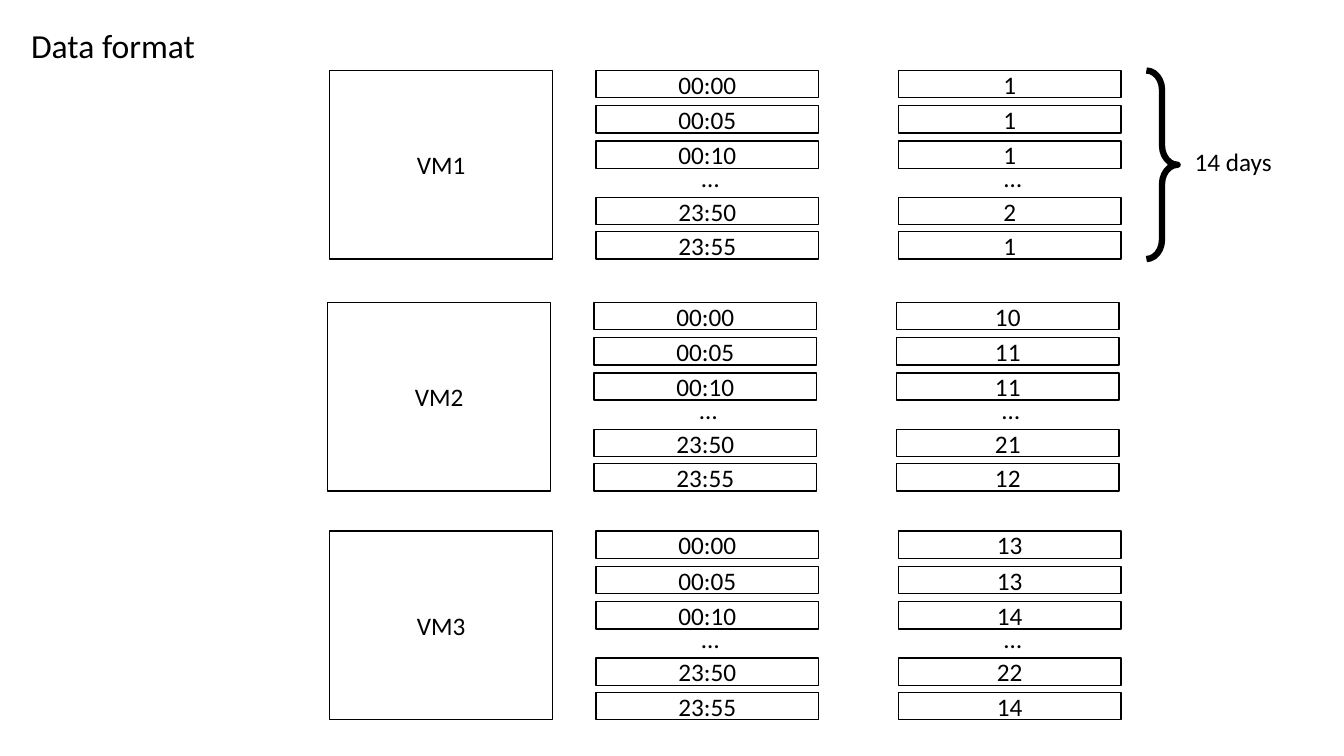
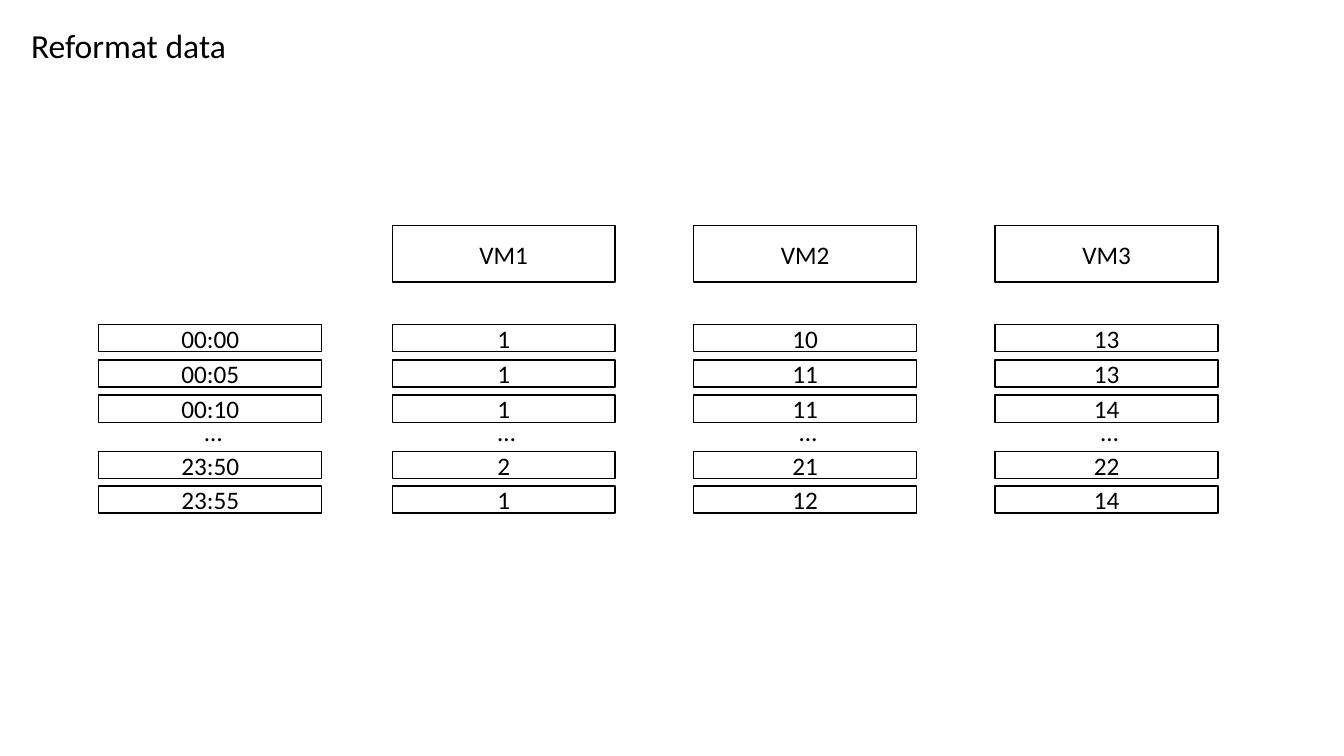
from dataclasses import dataclass
from typing import Any

from pptx import Presentation, util as u
from pptx.dml.color import RGBColor
from pptx.enum import shapes, text


@dataclass(frozen=True)
class Theme:
    ink: RGBColor = RGBColor(0, 0, 0)
    paper: RGBColor = RGBColor(255, 255, 255)
    font: str = "Calibri"
    title_pt: int = 24
    body_pt: int = 18
    line_pt: float = 1
    brace_pt: float = 4.5


@dataclass(frozen=True)
class Box:
    left: float
    top: float
    width: float
    height: float

    def emu(self) -> list[int]:
        return [u.Inches(v) for v in (self.left, self.top, self.width, self.height)]


@dataclass(frozen=True)
class Machine:
    name: str
    readings: tuple[str, ...]
    left: float
    top: float


THEME = Theme()
TIMES = ("00:00", "00:05", "00:10", "23:50", "23:55")
MACHINES = (
    Machine("VM1", ("1", "1", "1", "2", "1"), 3.27, 0.7),
    Machine("VM2", ("10", "11", "11", "21", "12"), 3.25, 3),
    Machine("VM3", ("13", "13", "14", "22", "14"), 3.27, 5.27),
)

CELL_W, CELL_H = 2.21, 0.27
ROW_OFFSETS = (0, 0.35, 0.7, 1.26, 1.6)
COLUMN_H = ROW_OFFSETS[-1] + CELL_H
DOTS_X, DOTS_Y = 0.95, 0.86
TIME_X, READING_X = 2.64, 5.64  # measured from the left of the machine box
TABLE_LEFT, TABLE_TOP = 3.89, 3.22
TABLE_PITCH = 2.99
HEADER_TOP, HEADER_H = 2.24, 0.56


def write(sp: Any, words: str, size: int, align: text.PP_ALIGN) -> None:
    p = sp.text_frame.paragraphs[0]
    p.alignment = align
    r = p.add_run()
    r.text = words
    for name, value in {"name": THEME.font, "size": u.Pt(size)}.items():
        setattr(r.font, name, value)
    r.font.color.rgb = THEME.ink


def add_label(parent: Any, words: str, box: Box, size: int = THEME.body_pt) -> None:
    sp = parent.shapes.add_textbox(*box.emu())
    settings = {"word_wrap": True, "auto_size": text.MSO_AUTO_SIZE.SHAPE_TO_FIT_TEXT}
    for name, value in settings.items():
        setattr(sp.text_frame, name, value)
    write(sp, words, size, text.PP_ALIGN.LEFT)


def add_cell(parent: Any, words: str, box: Box) -> None:
    sp = parent.shapes.add_shape(shapes.MSO_SHAPE.RECTANGLE, *box.emu())
    sp.shadow.inherit = False
    sp.fill.solid()
    sp.fill.fore_color.rgb = THEME.paper
    sp.line.color.rgb = THEME.ink
    sp.line.width = u.Pt(THEME.line_pt)
    sp.text_frame.vertical_anchor = text.MSO_ANCHOR.MIDDLE
    write(sp, words, THEME.body_pt, text.PP_ALIGN.CENTER)


def add_column(parent: Any, values: tuple[str, ...], left: float, top: float) -> None:
    """Stack the cells, with dots where the middle of the day is skipped."""
    for value, offset in zip(values, ROW_OFFSETS):
        add_cell(parent, value, Box(left, top + offset, CELL_W, CELL_H))
    add_label(parent, "…", Box(left + DOTS_X, top + DOTS_Y, 0.31, 0.28))


def add_brace(slide: Any, box: Box) -> None:
    sp = slide.shapes.add_shape(shapes.MSO_SHAPE.RIGHT_BRACE, *box.emu())
    sp.shadow.inherit = False
    sp.adjustments[0] = 0.62
    sp.fill.background()
    sp.line.color.rgb = THEME.ink
    sp.line.width = u.Pt(THEME.brace_pt)


def add_titled_slide(prs: Any, title: str) -> Any:
    s = prs.slides.add_slide(prs.slide_layouts[6])
    add_label(s, title, Box(0.21, 0.2, 2.27, 0.5), THEME.title_pt)
    return s


def build_data_format(prs: Any) -> None:
    s = add_titled_slide(prs, "Data format")
    for m in MACHINES:
        group = s.shapes.add_group_shape()
        add_cell(group, m.name, Box(m.left, m.top, CELL_W, COLUMN_H))
        add_column(group, TIMES, m.left + TIME_X, m.top)
        add_column(group, m.readings, m.left + READING_X, m.top)
    add_label(s, "14 days", Box(11.75, 1.4, 1.03, 0.4))
    add_brace(s, Box(11.37, MACHINES[0].top, 0.31, COLUMN_H))


def build_reformat_data(prs: Any) -> None:
    s = add_titled_slide(prs, "Reformat data")
    add_column(s.shapes.add_group_shape(), TIMES, 0.98, TABLE_TOP)
    for i, m in enumerate(MACHINES):
        left = TABLE_LEFT + i * TABLE_PITCH
        add_cell(s, m.name, Box(left, HEADER_TOP, CELL_W, HEADER_H))
        add_column(s.shapes.add_group_shape(), m.readings, left, TABLE_TOP)


def main() -> None:
    prs = Presentation()
    prs.slide_width, prs.slide_height = u.Inches(13.33), u.Inches(7.5)
    build_data_format(prs)
    build_reformat_data(prs)
    prs.save("out.pptx")


if __name__ == "__main__":
    main()
